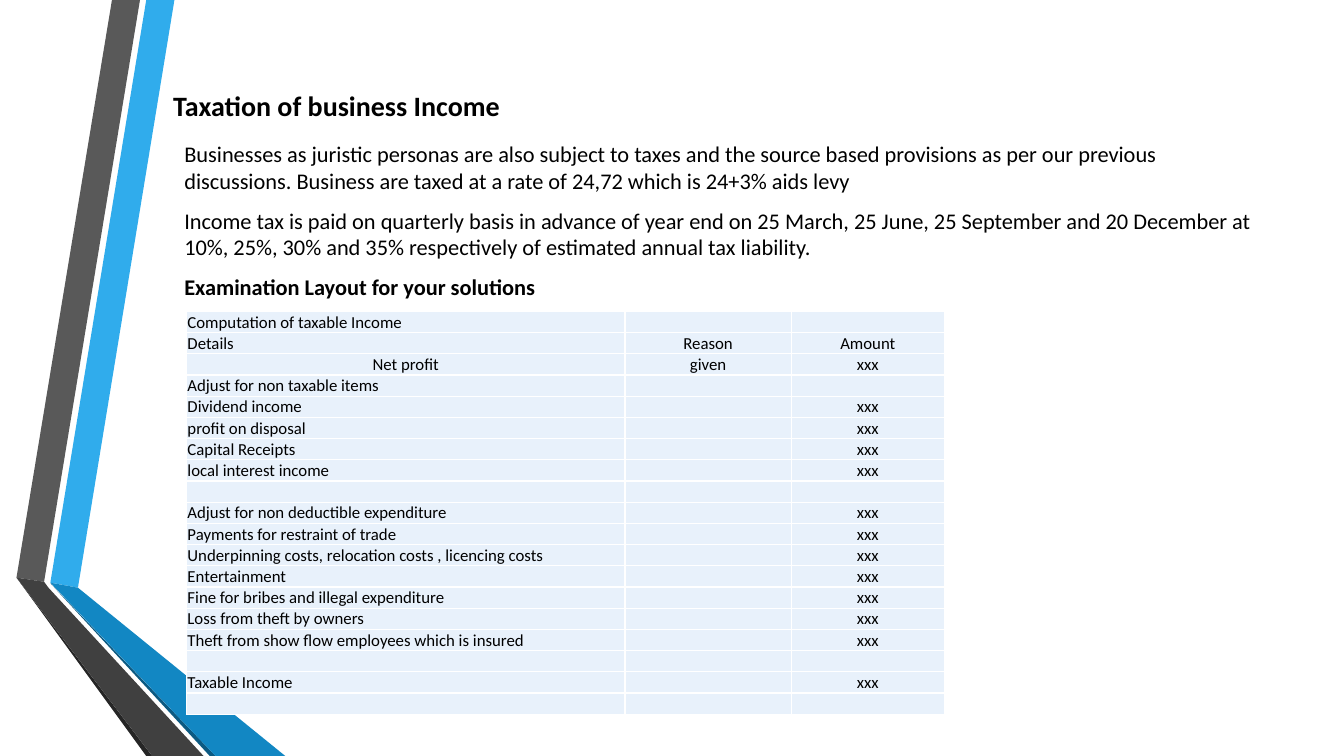
from lxml.etree import SubElement
from pptx import Presentation
from pptx.dml.color import RGBColor
from pptx.enum.text import MSO_ANCHOR, PP_ALIGN
from pptx.oxml.ns import qn
from pptx.util import Pt

HUES = {
    "ink": "000000", "cell": "E8F1FB", "rule": "FFFFFF",
    "sky": "30ACEC", "blue": "1287C3", "navy": "0C5A82",
    "grey": "595959", "dark": "404040", "black": "262626",
}
BANDS = [
    ("sky", [(36, 416.2), (55.7, 419.8), (124.6, 0), (104.5, 0)]),
    ("grey", [(100, 0), (80, 0), (11.8, 412.6), (31.5, 415.6)]),
    ("black", [(11.8, 412.6), (104.5, 540), (108.7, 540)]),
    ("navy", [(36, 416.7), (149.8, 540), (154, 540)]),
    ("blue", [(36, 416.2), (154, 540), (203.8, 540), (55.7, 419.8)]),
    ("dark", [(145.4, 540), (34.6, 419.8), (31.5, 415.6),
              (11.8, 412.6), (108.7, 540)]),
]
TITLE = "Taxation of business Income"
BODY = [
    ("Businesses as juristic personas are also subject to taxes and the source "
     "based provisions as per our previous discussions. Business are taxed at "
     "a rate of 24,72 which is 24+3% aids levy", False),
    ("Income tax is paid on quarterly basis in advance of year end on 25 March, "
     "25 June, 25 September and 20 December at 10%, 25%, 30% and 35% "
     "respectively of estimated annual tax liability.", False),
    ("Examination Layout for your solutions", True),
]
ROWS = [
    ("Computation of taxable Income", "", ""),
    ("Details", "Reason", "Amount"),
    ("Net profit", "given", "xxx"),
    ("Adjust for non taxable items", "", ""),
    ("Dividend income", "", "xxx"),
    ("profit on disposal", "", "xxx"),
    ("Capital Receipts", "", "xxx"),
    ("local interest income", "", "xxx"),
    ("", "", ""),
    ("Adjust for non deductible expenditure", "", "xxx"),
    ("Payments for restraint of trade", "", "xxx"),
    ("Underpinning costs, relocation costs , licencing costs", "", "xxx"),
    ("Entertainment", "", "xxx"),
    ("Fine for bribes and illegal expenditure", "", "xxx"),
    ("Loss from theft by owners", "", "xxx"),
    ("Theft from show flow employees which is insured", "", "xxx"),
    ("", "", ""),
    ("Taxable Income", "", "xxx"),
    ("", "", ""),
]
WIDTHS = [313.2, 118.8, 109.4]
ROW = 15.15


def hue(name):
    """Return the named colour."""
    return RGBColor.from_string(HUES[name])


def write(para, text, size=12, bold=False, align=PP_ALIGN.LEFT, before=0, after=0):
    """Put formatted text in a paragraph."""
    para.alignment = align
    para.space_before, para.space_after = Pt(before), Pt(after)
    if not text:
        SubElement(para._p, qn("a:endParaRPr"), sz=str(size * 100))
        return
    run = para.add_run()
    run.text = text
    font = run.font
    font.name, font.size, font.bold = "Calibri", Pt(size), bold
    font.color.rgb = hue("ink")


def add_band(slide, name, spots):
    """Draw one filled outline."""
    first, *rest = [(Pt(x), Pt(y)) for x, y in spots]
    pen = slide.shapes.build_freeform(*first)
    pen.add_line_segments(rest)
    band = pen.convert_to_shape()
    band.shadow.inherit = False
    band.fill.solid()
    band.fill.fore_color.rgb = hue(name)
    band.line.fill.background()


def add_box(slide, left, top, width, height, anchor):
    """Add a wrapping text box and return its frame."""
    box = slide.shapes.add_textbox(Pt(left), Pt(top), Pt(width), Pt(height))
    frame = box.text_frame
    frame.word_wrap = True
    frame.vertical_anchor = anchor
    return frame


def style_cell(cell):
    """Set margins, white rules and fill of a cell."""
    cell.margin_left = cell.margin_right = Pt(0.72)
    cell.margin_top, cell.margin_bottom = Pt(0.5), Pt(0)
    cell.vertical_anchor = MSO_ANCHOR.BOTTOM
    props = cell._tc.get_or_add_tcPr()
    for side in ("lnL", "lnR", "lnT", "lnB"):
        line = SubElement(props, qn("a:" + side), w=str(Pt(1)))
        solid = SubElement(line, qn("a:solidFill"))
        SubElement(solid, qn("a:srgbClr"), val=HUES["rule"])
    cell.fill.solid()
    cell.fill.fore_color.rgb = hue("cell")


def add_grid(slide):
    """Build the computation table."""
    grid = slide.shapes.add_table(
        len(ROWS), len(WIDTHS), Pt(133.2), Pt(222.5),
        Pt(sum(WIDTHS)), Pt(ROW * len(ROWS))).table
    grid.first_row = grid.horz_banding = False
    for col, width in zip(grid.columns, WIDTHS):
        col.width = Pt(width)
    for r, texts in enumerate(ROWS):
        grid.rows[r].height = Pt(ROW)
        for c, text in enumerate(texts):
            cell = grid.cell(r, c)
            style_cell(cell)
            mid = c > 0 or text == "Net profit"
            write(cell.text_frame.paragraphs[0], text,
                  align=PP_ALIGN.CENTER if mid else PP_ALIGN.LEFT)


def main():
    """Build and save the slide."""
    deck = Presentation()
    deck.slide_width, deck.slide_height = Pt(960), Pt(540)
    slide = deck.slides.add_slide(deck.slide_layouts[6])
    for name, spots in BANDS:
        add_band(slide, name, spots)
    head = add_box(slide, 116.64, 54, 789, 42.5, MSO_ANCHOR.MIDDLE)
    write(head.paragraphs[0], TITLE, size=20, bold=True)
    body = add_box(slide, 124.56, 96.5, 781.2, 359.3, MSO_ANCHOR.TOP)
    for i, (text, bold) in enumerate(BODY):
        para = body.add_paragraph() if i else body.paragraphs[0]
        write(para, text, size=16, bold=bold, before=3.2 if i else 0, after=6)
    add_grid(slide)
    deck.save("out.pptx")


if __name__ == "__main__":
    main()
